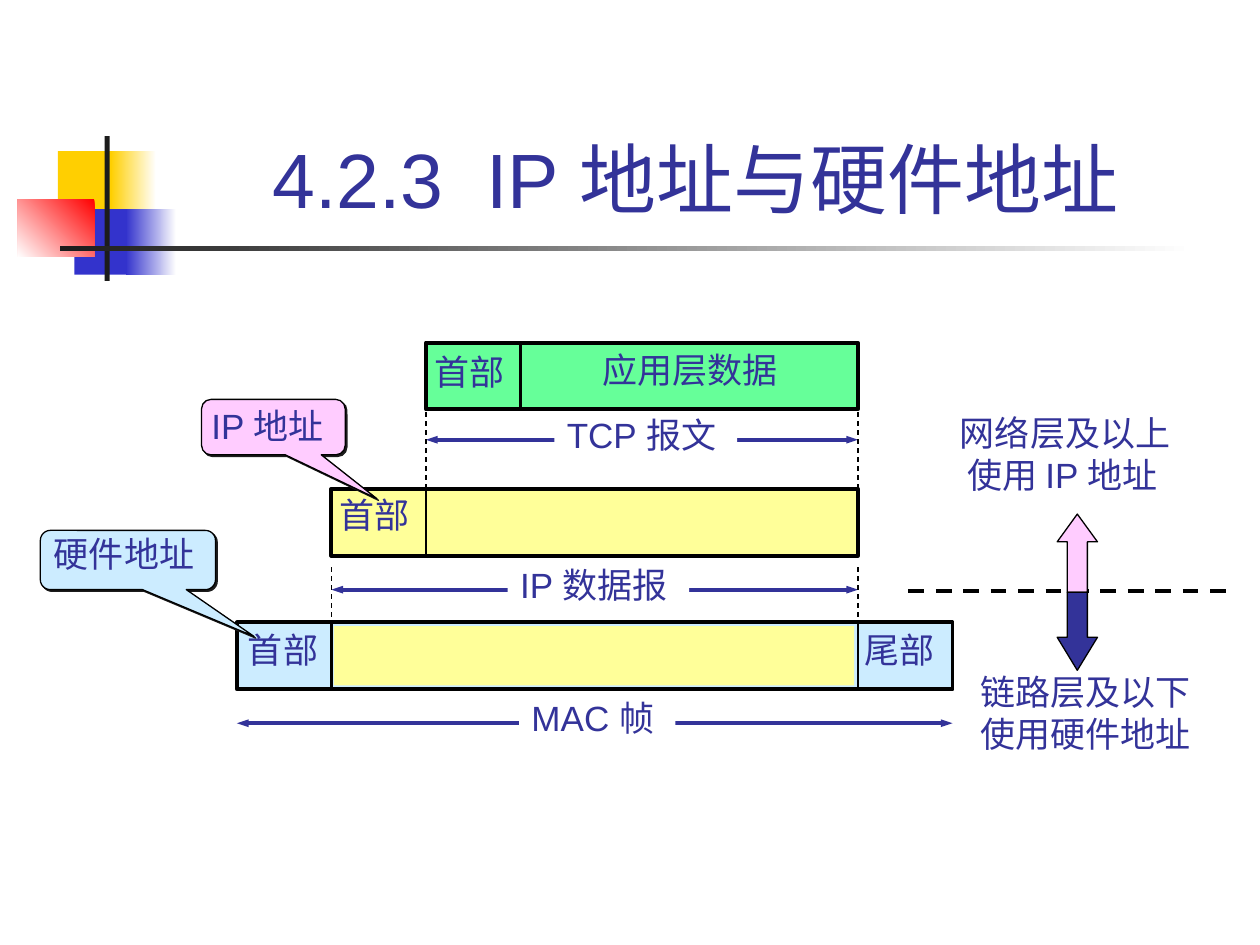
import pptx
import pptx.util
import pptx.dml.color
import pptx.enum.dml
import pptx.enum.shapes
import pptx.enum.text
import pptx.oxml
import pptx.oxml.ns
import lxml.etree

Inches = pptx.util.Inches
Pt = pptx.util.Pt
RGBColor = pptx.dml.color.RGBColor
SHAPE = pptx.enum.shapes.MSO_SHAPE
DASH = pptx.enum.dml.MSO_LINE.DASH
qn = pptx.oxml.ns.qn

NAVY = RGBColor(0x33, 0x33, 0x99)
BLUE = RGBColor(0x33, 0x33, 0xCC)
GOLD = RGBColor(0xFF, 0xCF, 0x01)
RED = RGBColor(0xFF, 0x00, 0x00)
DARK = RGBColor(0x1C, 0x1C, 0x1C)
BLACK = RGBColor(0x00, 0x00, 0x00)
WHITE = RGBColor(0xFF, 0xFF, 0xFF)
GREEN = RGBColor(0x66, 0xFF, 0x99)
YELLOW = RGBColor(0xFF, 0xFF, 0x99)
SKY = RGBColor(0xCC, 0xEC, 0xFF)
PINK = RGBColor(0xFF, 0xCC, 0xFF)

prs = pptx.Presentation()
prs.slide_width, prs.slide_height = Inches(10), Inches(7.5)
s = prs.slides.add_slide(prs.slide_layouts[5])

COL = 0.75
FRAME, IP, TCP, DATA = [1.88 + COL * i for i in range(4)]
END = 6.81
TRAILER_END = END + COL
BAR = 0.53
TCP_ROW, IP_ROW, MAC_ROW = 2.72, 3.88, 4.94
TEXT_H = 0.44
LABEL_W = 0.8


def add_box(kind, at, fill, width=0, lines=()):
    sp = s.shapes.add_shape(kind, *[Inches(v) for v in at])
    if fill is None:
        sp.fill.background()
    elif isinstance(fill, tuple) and not isinstance(fill, RGBColor):
        start, stop, angle = fill
        sp.fill.gradient()
        sp.fill.gradient_angle = angle
        sp.fill.gradient_stops[0].color.rgb = start
        sp.fill.gradient_stops[1].color.rgb = stop
    else:
        sp.fill.solid()
        sp.fill.fore_color.rgb = fill
    if width:
        sp.line.color.rgb = BLACK
        sp.line.width = Pt(width)
    else:
        sp.line.fill.background()
    sp.shadow.inherit = False
    if lines:
        tf = sp.text_frame
        tf.word_wrap = False
        tf.auto_size = pptx.enum.text.MSO_AUTO_SIZE.SHAPE_TO_FIT_TEXT
        tf.vertical_anchor = pptx.enum.text.MSO_ANCHOR.TOP
        for i, line in enumerate(lines):
            p = tf.paragraphs[0] if i == 0 else tf.add_paragraph()
            p.text = line
            p.alignment = pptx.enum.text.PP_ALIGN.LEFT
            p.font.name, p.font.size = "Arial", Pt(20)
            p.font.color.rgb = NAVY
    return sp


def add_line(x1, y1, x2, y2, color, width, dash=None, arrows=False):
    c = s.shapes.add_connector(
        pptx.enum.shapes.MSO_CONNECTOR.STRAIGHT, *[Inches(v) for v in (x1, y1, x2, y2)])
    c.line.color.rgb = color
    c.line.width = Pt(width)
    if dash:
        c.line.dash_style = dash
    if arrows:
        ln = c.line._get_or_add_ln()
        for end in ("a:headEnd", "a:tailEnd"):
            lxml.etree.SubElement(ln, qn(end), type="triangle", w="sm", len="med")
    lxml.etree.SubElement(c._element.spPr, qn("a:effectLst"))


for at, fill in [
    ((0.46, 1.2, 0.48, 0.52), GOLD),
    ((0.88, 1.2, 0.36, 0.52), (WHITE, GOLD, 180)),
    ((0.59, 1.66, 0.46, 0.52), BLUE),
    ((1, 1.66, 0.4, 0.52), (WHITE, BLUE, 180)),
    ((0.14, 1.58, 0.61, 0.46), (RED, WHITE, 225)),
    ((0.83, 1.08, 0.04, 1.15), DARK),
    ((0.48, 1.95, 9, 0.04), (WHITE, DARK, 180)),
]:
    add_box(SHAPE.RECTANGLE, at, fill)

title = s.shapes.title
title.left, title.top, title.width, title.height = [Inches(v) for v in (1.26, 0.23, 8.52, 1.6)]
tf = title.text_frame
tf.vertical_anchor = pptx.enum.text.MSO_ANCHOR.BOTTOM
p = tf.paragraphs[0]
for text, spacing in [("4.2.3", 0), (" ", 1220), ("IP 地址与硬件地址", 0)]:
    r = p.add_run()
    r.text = text
    if spacing:
        r._r.get_or_add_rPr().set("spc", str(spacing))
p.alignment = pptx.enum.text.PP_ALIGN.CENTER
p.font.name, p.font.size = "Arial", Pt(44)
p.font.color.rgb = NAVY

for left, right, y, x, w, label in [
    (FRAME, TRAILER_END, 5.74, 4.12, 1.24, "MAC 帧"),
    (IP, END, 4.68, 4.03, 1.44, "IP 数据报"),
    (TCP, END, 3.49, 4.4, 1.45, "TCP 报文"),
]:
    add_line(left, y, right, y, NAVY, 2.25, arrows=True)
    add_box(SHAPE.RECTANGLE, (x, y - 0.26, w, TEXT_H), WHITE, lines=[label])

for x, top, bottom in [(IP, 4.5, MAC_ROW), (END, 4.5, MAC_ROW),
                       (TCP, 3.27, IP_ROW), (END, 3.27, IP_ROW)]:
    add_line(x, top, x, bottom, BLACK, 0.75, DASH.DASH)
add_line(7.21, 4.69, 9.73, 4.69, BLACK, 2.25, DASH.DASH)

for left, right, y, fill, dividers in [
    (TCP, END, TCP_ROW, GREEN, [DATA]),
    (IP, END, IP_ROW, YELLOW, [TCP]),
    (FRAME, TRAILER_END, MAC_ROW, SKY, [IP, END]),
]:
    add_box(SHAPE.RECTANGLE, (left, y, right - left, BAR), fill, 2.25)
    for x in dividers:
        add_line(x, y, x, y + BAR, BLACK, 1.5)
add_box(SHAPE.RECTANGLE, (IP + 0.02, MAC_ROW + 0.03, 4.13, 0.47), YELLOW)

for x, y, w, label in [
    (DATA + 0.55, TCP_ROW, 1.59, "应用层数据"),
    (TCP - 0.03, TCP_ROW + 0.01, LABEL_W, "首部"),
    (IP - 0.03, IP_ROW - 0.01, LABEL_W, "首部"),
    (FRAME - 0.01, MAC_ROW, LABEL_W, "首部"),
    (END - 0.05, MAC_ROW, LABEL_W, "尾部"),
]:
    add_box(SHAPE.RECTANGLE, (x, y, w, TEXT_H), None, lines=[label])

for at, fill, text_at, label in [
    ((0.32, 4.21, 1.39, 0.47), SKY, (0.33, 4.18, 1.31, TEXT_H), "硬件地址"),
    ((1.6, 3.17, 1.14, 0.44), PINK, (1.58, 3.16, 1.16, TEXT_H), "IP 地址"),
]:
    sp = add_box(SHAPE.ROUNDED_RECTANGULAR_CALLOUT, at, fill, 0.75)
    for i, value in enumerate((0.72, 1.29, 0.17)):
        sp.adjustments[i] = value
    shadow = lxml.etree.SubElement(
        sp._element.spPr.find(qn("a:effectLst")), qn("a:outerShdw"),
        dist=str(Pt(1.4)), dir="2700000", algn="ctr", rotWithShape="0")
    lxml.etree.SubElement(shadow, qn("a:srgbClr"), val=str(DARK))
    add_box(SHAPE.RECTANGLE, text_at, None, lines=[label])

for kind, y, head, fill in [(SHAPE.UP_ARROW, 4.08, 0.69, PINK),
                            (SHAPE.DOWN_ARROW, 4.7, 0.82, NAVY)]:
    sp = add_box(kind, (8.39, y, 0.32, 0.62), fill, 0.75)
    sp.adjustments[0], sp.adjustments[1] = 0.5, head

add_box(SHAPE.RECTANGLE, (7.68, 5.27, 1.87, 0.77), None, lines=["链路层及以下", "使用硬件地址"])
sp = add_box(SHAPE.RECTANGLE, (7.52, 3.22, 1.91, 0.77), None, lines=["网络层及以上", "使用 IP 地址"])
pPr = sp.text_frame.paragraphs[1]._p.get_or_add_pPr()
pPr.set("marL", str(Inches(0.06)))

prs.save("out.pptx")
